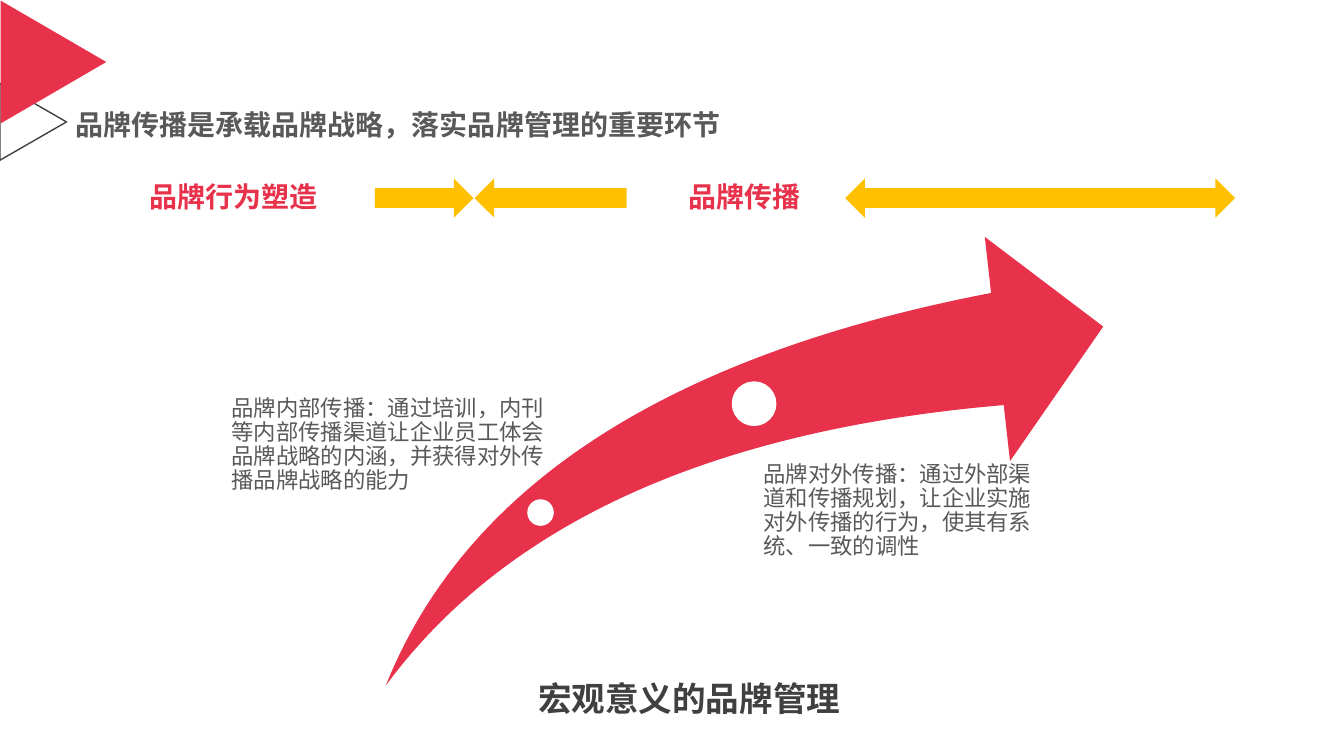
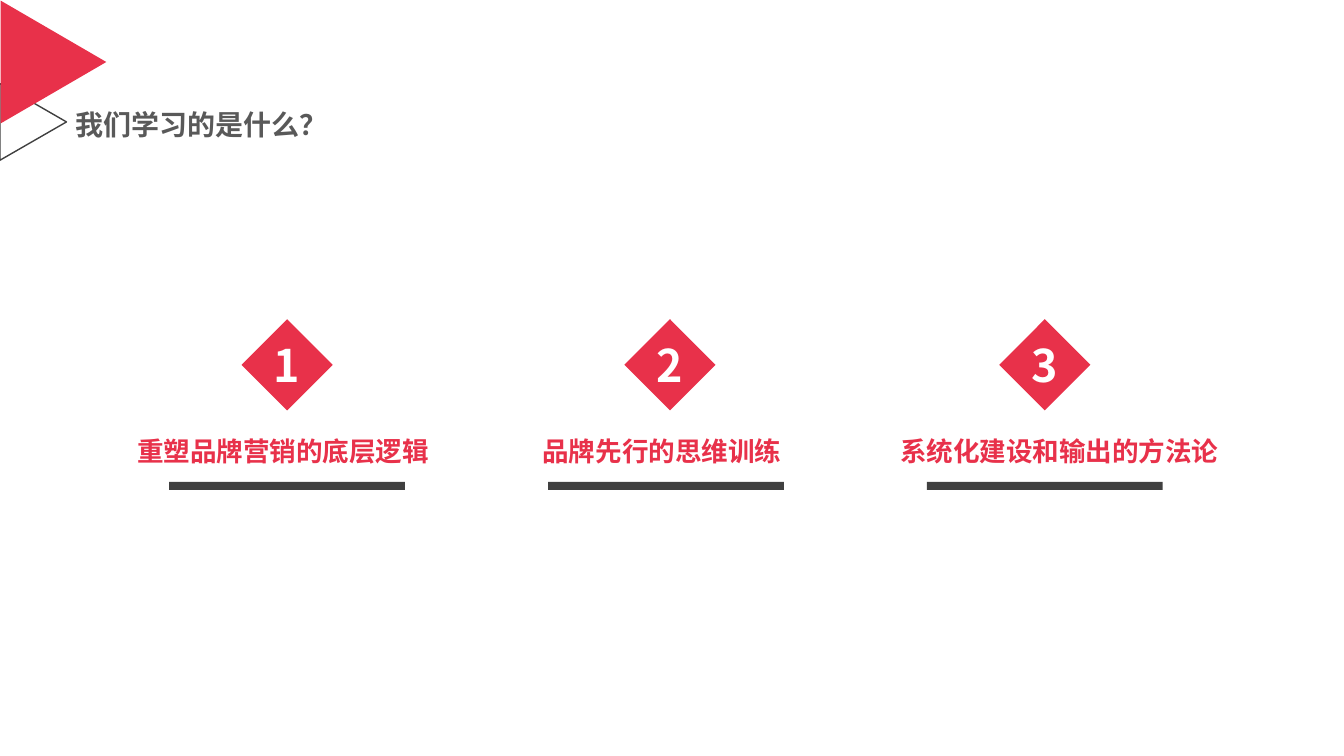
"""Build two slides on brand communication and what the course teaches."""
from lxml.etree import SubElement
from pptx import Presentation
from pptx.dml.color import RGBColor
from pptx.enum.shapes import MSO_SHAPE as Shape
from pptx.enum.text import MSO_ANCHOR as Anchor, MSO_AUTO_SIZE as AutoSize, PP_ALIGN as Align
from pptx.oxml.ns import qn
from pptx.util import Pt

PX = 9144
FONT = "Noto Sans CJK SC"
RED = RGBColor(0xE8, 0x31, 0x4A)
GOLD = RGBColor(0xFF, 0xC0, 0x00)
DARK = RGBColor(0x40, 0x40, 0x40)
GRAY = RGBColor(0x59, 0x59, 0x59)
WHITE = RGBColor(0xFF, 0xFF, 0xFF)

TITLE_BOX = (70, 105, 655, 41)
OUTLINE_TRIANGLE = (-5, 88, 76, 66)
RED_TRIANGLE = (-8, 9, 122, 105)

BRAND_TITLE = "品牌传播是承载品牌战略，落实品牌管理的重要环节"
STAGES = [("品牌行为塑造", 90), ("品牌传播", 598)]
STAGE_TOP, STAGE_WIDTH, STAGE_HEIGHT = 173, 283, 44
STAGE_ARROWS = [
    (Shape.RIGHT_ARROW, 372, 98, 0),
    (Shape.RIGHT_ARROW, 471, 151, 180),
    (Shape.LEFT_RIGHT_ARROW, 839, 387, 0),
]
ARROW_TOP, ARROW_HEIGHT = 177, 39
SWOOSH = (383, 235, 712, 445)
DOTS = [(524, 496, 25), (727, 379, 43)]
NOTES = [
    ("品牌内部传播：通过培训，内刊等内部传播渠道让企业员工体会品牌战略的内涵，并获得对外传播品牌战略的能力",
     (230, 394, 314, 190)),
    ("品牌对外传播：通过外部渠道和传播规划，让企业实施对外传播的行为，使其有系统、一致的调性",
     (758, 459, 273, 135)),
]
SUMMARY = ("宏观意义的品牌管理", (328, 666, 712, 54))

LESSON_TITLE = "我们学习的是什么？"
LESSONS = [
    ("重塑品牌营销的底层逻辑", 324, 253),
    ("品牌先行的思维训练", 324, 633),
    ("系统化建设和输出的方法论", 361, 1005),
]
LESSON_STEP = 376
LESSON_LEFT, LESSON_TOP, LESSON_HEIGHT = 119, 416, 63
BAR = (168, 478, 234, 8)
DIAMOND_TOP, DIAMOND_SIZE = 330, 64


def emu(box):
    return [length * PX for length in box]


def write(shape, text, size, color, bold=True, align=Align.CENTER,
          anchor=Anchor.MIDDLE, inset=5, spacing=None):
    frame = shape.text_frame
    frame.word_wrap = True
    frame.auto_size = AutoSize.NONE
    frame.vertical_anchor = anchor
    frame.margin_left = frame.margin_right = inset * PX
    frame.margin_top = frame.margin_bottom = inset * PX
    para = frame.paragraphs[0]
    para.alignment = align
    if spacing:
        para.line_spacing = spacing
    span = para.add_run()
    span.text = text
    font = span.font
    font.size, font.bold, font.name = Pt(size), bold, FONT
    font.color.rgb = color
    SubElement(span._r.get_or_add_rPr(), qn("a:ea"), typeface=FONT)


def add_text(page, box, text, size, color, **style):
    write(page.shapes.add_textbox(*emu(box)), text, size, color, **style)


def add_figure(page, kind, box, fill=None, line=None, rotation=0):
    figure = page.shapes.add_shape(kind, *emu(box))
    figure.shadow.inherit = False
    figure.rotation = rotation
    if fill is None:
        figure.fill.background()
    else:
        figure.fill.solid()
        figure.fill.fore_color.rgb = fill
    if line is None:
        figure.line.fill.background()
    else:
        figure.line.color.rgb = line
        figure.line.width = Pt(1)
    return figure


def add_page(deck, title):
    page = deck.slides.add_slide(deck.slide_layouts[5])
    heading = page.shapes.title
    heading.left, heading.top, heading.width, heading.height = emu(TITLE_BOX)
    write(heading, title, 20, GRAY, align=Align.LEFT, spacing=0.9)
    return page


def decorate_layout(page):
    triangle = Shape.ISOSCELES_TRIANGLE
    corner = [
        add_figure(page, triangle, OUTLINE_TRIANGLE, line=DARK, rotation=90),
        add_figure(page, triangle, RED_TRIANGLE, fill=RED, rotation=90),
    ]
    for figure in corner:
        page.slide_layout.shapes.element.append(figure.element)


def fill_brand_page(page):
    swoosh = add_figure(page, Shape.SWOOSH_ARROW, SWOOSH, RED)
    swoosh.adjustments[0] = swoosh.adjustments[1] = 0.25
    for left, top, size in DOTS:
        add_figure(page, Shape.OVAL, (left, top, size, size), WHITE, WHITE)
    for text, box in NOTES:
        add_text(page, box, text, 16, GRAY, bold=False, align=Align.LEFT,
                 anchor=Anchor.TOP, inset=0, spacing=0.9)
    text, box = SUMMARY
    add_text(page, box, text, 24, DARK)
    for text, left in STAGES:
        add_text(page, (left, STAGE_TOP, STAGE_WIDTH, STAGE_HEIGHT), text, 20, RED)
    for kind, left, width, rotation in STAGE_ARROWS:
        add_figure(page, kind, (left, ARROW_TOP, width, ARROW_HEIGHT), GOLD, rotation=rotation)


def fill_lesson_page(page):
    bar_left, *bar_rest = BAR
    for index, (text, width, diamond_left) in enumerate(LESSONS):
        shift = index * LESSON_STEP
        add_text(page, (LESSON_LEFT + shift, LESSON_TOP, width, LESSON_HEIGHT), text, 19, RED)
        add_figure(page, Shape.RECTANGLE, (bar_left + shift, *bar_rest), DARK)
        diamond = (diamond_left, DIAMOND_TOP, DIAMOND_SIZE, DIAMOND_SIZE)
        add_figure(page, Shape.RECTANGLE, diamond, RED, rotation=45)
        add_text(page, diamond, str(index + 1), 32, WHITE)


def main():
    deck = Presentation()
    deck.slide_width, deck.slide_height = emu((1334, 750))
    brand_page = add_page(deck, BRAND_TITLE)
    decorate_layout(brand_page)
    fill_brand_page(brand_page)
    fill_lesson_page(add_page(deck, LESSON_TITLE))
    deck.save("out.pptx")


if __name__ == "__main__":
    main()
